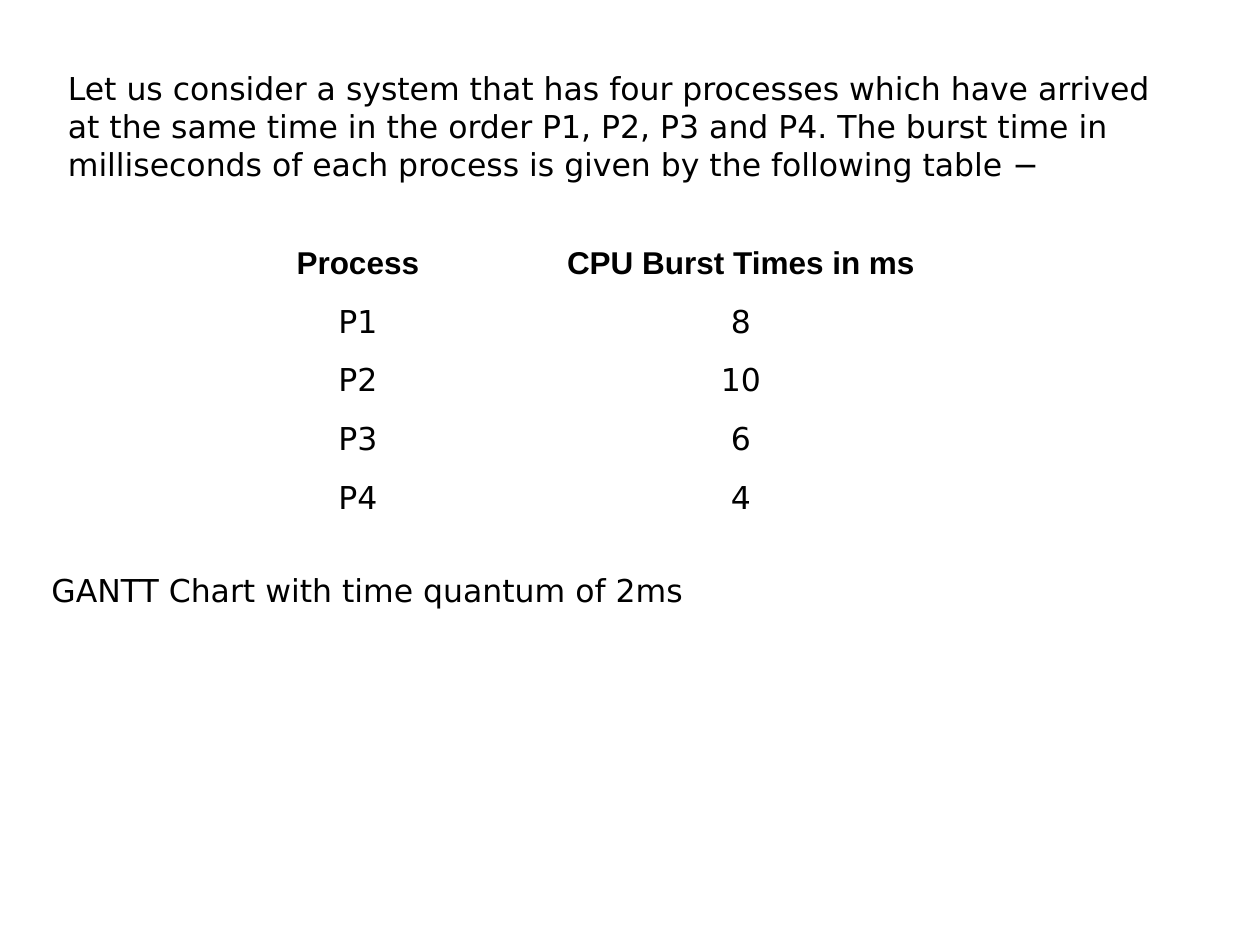
"""Build a slide that introduces a round-robin scheduling example with a burst time table."""
from dataclasses import dataclass

from pptx import Presentation
from pptx.dml.color import RGBColor
from pptx.enum.text import MSO_ANCHOR, MSO_AUTO_SIZE, PP_ALIGN
from pptx.util import Inches, Pt

CENTER = PP_ALIGN.CENTER
MIDDLE = MSO_ANCHOR.MIDDLE
GROW = MSO_AUTO_SIZE.SHAPE_TO_FIT_TEXT

PAGE_WIDTH = Inches(10)
PAGE_HEIGHT = Inches(7.5)
COLORS = {"text": "000000", "cell": "FFFFFF"}
BODY_FONT = {"name": "DejaVu Sans", "size": Pt(18), "bold": False}
HEADER_FONT = {**BODY_FONT, "name": "Arial", "bold": True}
CELL_FORMAT = {
    "vertical_anchor": MIDDLE,
    **{f"margin_{side}": Inches(0.08) for side in ("left", "right", "top", "bottom")},
}
TABLE_FORMAT = {"first_row": False, "horz_banding": False}
FRAME_FORMAT = {"word_wrap": True, "auto_size": GROW}

TABLE_LEFT = Inches(1.32)
TABLE_TOP = Inches(1.86)
COLUMN_WIDTH = Inches(3.04)
ROW_HEIGHT = Inches(2.33 / 5)
BURST_TIMES = [
    ("Process", "CPU Burst Times in ms"),
    ("P1", "8"),
    ("P2", "10"),
    ("P3", "6"),
    ("P4", "4"),
]


@dataclass(frozen=True)
class Passage:
    """A text box placed by inches on the page."""

    text: str
    left: float
    top: float
    width: float
    height: float


PASSAGES = [
    Passage(
        "Let us consider a system that has four processes which have arrived at the same time "
        "in the order P1, P2, P3 and P4. The burst time in milliseconds of each process "
        "is given by the following table −",
        0.44, 0.5, 9.01, 1.01,
    ),
    Passage("GANTT Chart with time quantum of 2ms", 0.31, 4.48, 8.82, 0.4),
]


def apply_format(target: object, values: dict) -> None:
    """Set each named attribute on the target."""
    for name, value in values.items():
        setattr(target, name, value)


def write_text(paragraph, text: str, font: dict) -> None:
    """Add one formatted span to the paragraph."""
    span = paragraph.add_run()
    span.text = text
    apply_format(span.font, font)
    span.font.color.rgb = RGBColor.from_string(COLORS["text"])


def draw_passage(page, passage: Passage) -> None:
    """Draw a wrapped text box."""
    lengths = (passage.left, passage.top, passage.width, passage.height)
    box = page.shapes.add_textbox(*map(Inches, lengths))
    apply_format(box.text_frame, FRAME_FORMAT)
    write_text(box.text_frame.paragraphs[0], passage.text, BODY_FONT)


def draw_table(page, rows: list[tuple[str, str]]) -> None:
    """Draw a plain centred table whose first row is the header."""
    row_count, column_count = len(rows), len(rows[0])
    table = page.shapes.add_table(
        row_count, column_count, TABLE_LEFT, TABLE_TOP,
        COLUMN_WIDTH * column_count, ROW_HEIGHT * row_count,
    ).table
    apply_format(table, TABLE_FORMAT)
    for row_index, row in enumerate(rows):
        for column_index, text in enumerate(row):
            cell = table.cell(row_index, column_index)
            apply_format(cell, CELL_FORMAT)
            cell.fill.solid()
            cell.fill.fore_color.rgb = RGBColor.from_string(COLORS["cell"])
            paragraph = cell.text_frame.paragraphs[0]
            paragraph.alignment = CENTER
            write_text(paragraph, text, BODY_FONT if row_index else HEADER_FONT)


def main() -> None:
    """Build and save the deck."""
    deck = Presentation()
    apply_format(deck, {"slide_width": PAGE_WIDTH, "slide_height": PAGE_HEIGHT})
    page = deck.slides.add_slide(deck.slide_layouts[6])
    introduction, chart_heading = PASSAGES
    draw_passage(page, introduction)
    draw_table(page, BURST_TIMES)
    draw_passage(page, chart_heading)
    deck.save("out.pptx")


if __name__ == "__main__":
    main()
